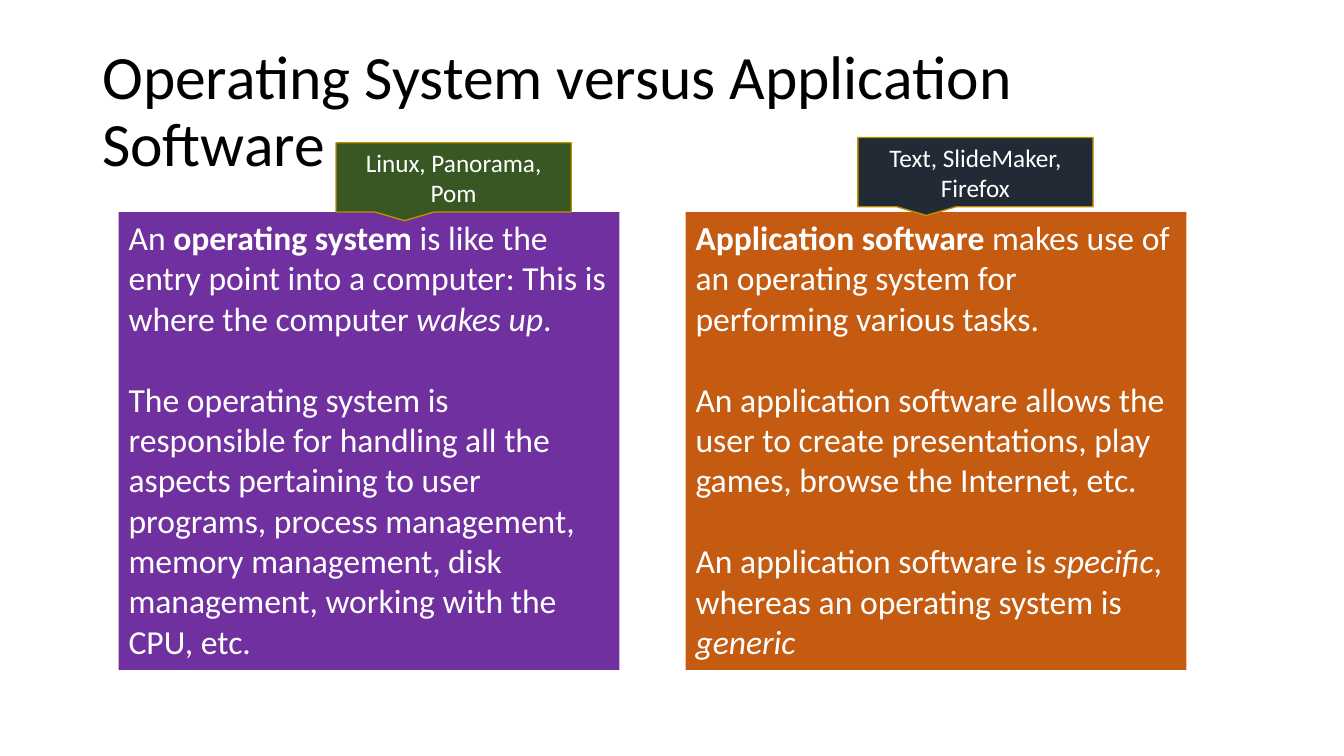
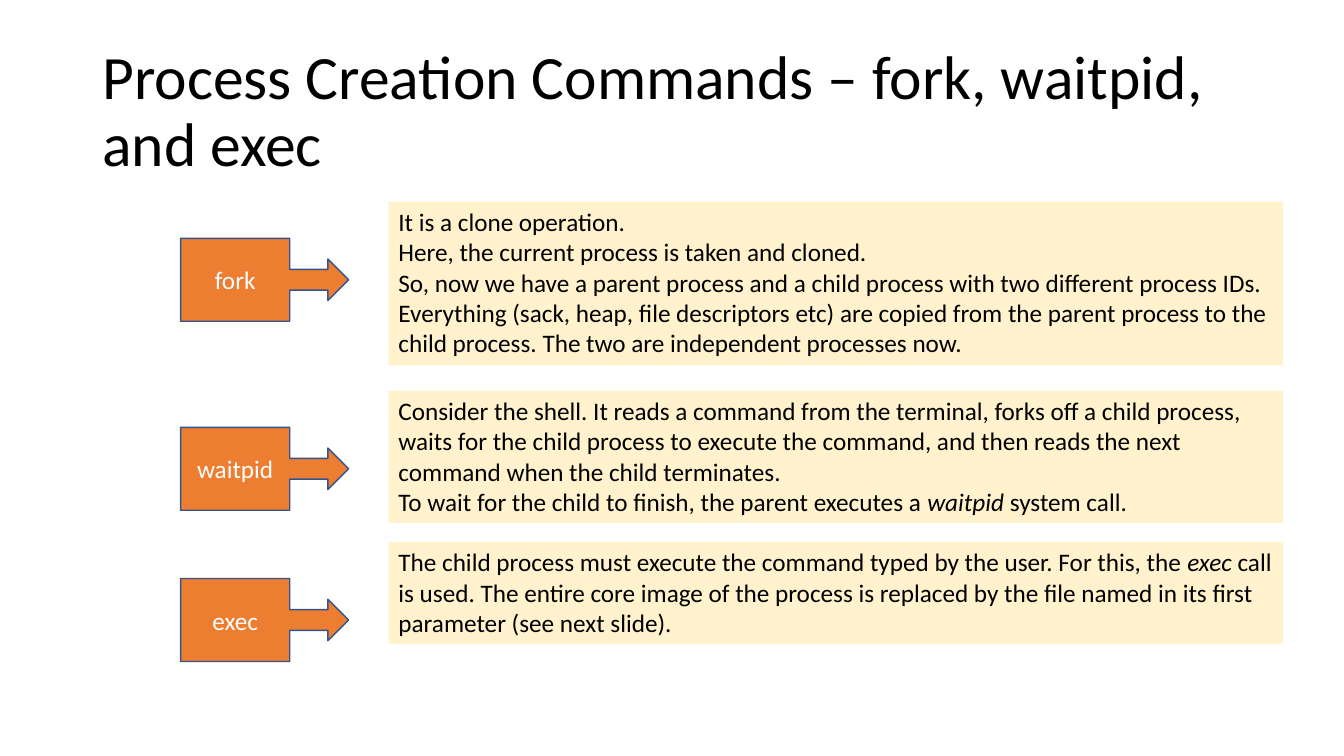
from dataclasses import dataclass

from pptx import Presentation, util as u
from pptx.dml.color import RGBColor
from pptx.enum import shapes, text

PX = 9525  # EMU
FONT = "Calibri"

BLACK = RGBColor(0x00, 0x00, 0x00)
WHITE = RGBColor(0xFF, 0xFF, 0xFF)
PURPLE = RGBColor(0x70, 0x30, 0xA0)
RUST = RGBColor(0xC5, 0x5A, 0x11)
GREEN = RGBColor(0x38, 0x57, 0x23)
NAVY = RGBColor(0x22, 0x2A, 0x35)
GOLD = RGBColor(0xBD, 0x8E, 0x00)
ORANGE = RGBColor(0xED, 0x7D, 0x31)
BLUE = RGBColor(0x32, 0x54, 0x91)
CREAM = RGBColor(0xFF, 0xF2, 0xCC)


@dataclass(frozen=True)
class Box:
    left: int
    top: int
    width: int
    height: int

    def emu(self) -> tuple[int, int, int, int]:
        return self.left * PX, self.top * PX, self.width * PX, self.height * PX


@dataclass(frozen=True)
class Span:
    text: str
    bold: bool = False
    italic: bool = False


Paragraphs = list[list[Span]]


@dataclass(frozen=True)
class Comparison:
    left: int
    fill: RGBColor
    body: Paragraphs
    examples: str
    examples_at: Box
    examples_fill: RGBColor


@dataclass(frozen=True)
class Command:
    name: str
    top: int
    height: int
    body: Paragraphs


TITLE_AT = Box(88, 38, 1104, 139)

COMPARISONS = [
    Comparison(
        113, PURPLE,
        [[Span("An "), Span("operating system", bold=True),
          Span(" is like the entry point into a computer: This is where the computer "),
          Span("wakes up", italic=True), Span(".")],
         [Span("The operating system is responsible for handling all the aspects "
               "pertaining to user programs, process management, memory management, "
               "disk management, working with the CPU, etc.")]],
        "Linux, Panorama, Pom", Box(320, 136, 224, 66), GREEN),
    Comparison(
        653, RUST,
        [[Span("Application software", bold=True),
          Span(" makes use of an operating system for performing various tasks.")],
         [Span("An application software allows the user to create presentations, "
               "play games, browse the Internet, etc.")],
         [Span("An application software is "), Span("specific", italic=True),
          Span(", whereas an operating system is "), Span("generic", italic=True)]],
        "Text, SlideMaker, Firefox", Box(817, 131, 224, 66), NAVY),
]

COMMANDS = [
    Command("fork", 192, 156, [
        [Span("It is a clone operation.")],
        [Span("Here, the current process is taken and cloned.")],
        [Span("So, now we have a parent process and a child process with two "
              "different process IDs.")],
        [Span("Everything (sack, heap, file descriptors etc) are copied from the "
              "parent process to the child process. The two are independent "
              "processes now.")]]),
    Command("waitpid", 372, 126, [
        [Span("Consider the shell. It reads a command from the terminal, forks off "
              "a child process, waits for the child process to execute the command, "
              "and then reads the next command when the child terminates.")],
        [Span("To wait for the child to finish, the parent executes a "),
         Span("waitpid", italic=True), Span(" system call.")]]),
    Command("exec", 516, 97, [
        [Span("The child process must execute the command typed by the user. "
              "For this, the "), Span("exec", italic=True),
         Span(" call is used. The entire core image of the process is replaced by "
              "the file named in its first parameter (see next slide).")]]),
]


def style_paragraph(paragraph, size: int, color: RGBColor) -> None:
    paragraph.font.name = FONT
    paragraph.font.size = u.Pt(size)
    paragraph.font.color.rgb = color


def add_titled_slide(deck, title: str):
    slide = deck.slides.add_slide(deck.slide_layouts[6])
    frame = slide.shapes.add_textbox(*TITLE_AT.emu()).text_frame
    frame.word_wrap = True
    frame.vertical_anchor = text.MSO_ANCHOR.MIDDLE
    heading = frame.paragraphs[0]
    heading.text = title
    heading.line_spacing = 0.9
    style_paragraph(heading, 44, BLACK)
    return slide


def add_panel(slide, box: Box, fill: RGBColor, body: Paragraphs,
              size: int, color: RGBColor, gap: int = 0) -> None:
    """Add a filled text box whose paragraphs are gap points apart."""
    panel = slide.shapes.add_textbox(*box.emu())
    panel.fill.solid()
    panel.fill.fore_color.rgb = fill
    frame = panel.text_frame
    frame.word_wrap = True
    frame.auto_size = text.MSO_AUTO_SIZE.SHAPE_TO_FIT_TEXT
    for index, spans in enumerate(body):
        paragraph = frame.add_paragraph() if index else frame.paragraphs[0]
        if index and gap:
            paragraph.space_before = u.Pt(gap)
        style_paragraph(paragraph, size, color)
        for span in spans:
            run = paragraph.add_run()
            run.text = span.text
            if span.bold:
                run.font.bold = True
            if span.italic:
                run.font.italic = True


def add_callout(slide, kind: shapes.MSO_SHAPE, box: Box, label: str,
                fill: RGBColor, line: RGBColor) -> None:
    callout = slide.shapes.add_shape(kind, *box.emu())
    callout.shadow.inherit = False
    callout.fill.solid()
    callout.fill.fore_color.rgb = fill
    callout.line.color.rgb = line
    callout.line.width = u.Pt(1)
    frame = callout.text_frame
    frame.word_wrap = True
    frame.vertical_anchor = text.MSO_ANCHOR.MIDDLE
    caption = frame.paragraphs[0]
    caption.text = label
    caption.alignment = text.PP_ALIGN.CENTER
    style_paragraph(caption, 18, WHITE)


def build_comparison(deck) -> None:
    slide = add_titled_slide(deck, "Operating System versus Application Software")
    for side in COMPARISONS:
        add_panel(slide, Box(side.left, 202, 477, 436), side.fill, side.body,
                  24, WHITE, gap=29)
    for side in COMPARISONS:
        add_callout(slide, shapes.MSO_SHAPE.RECTANGULAR_CALLOUT, side.examples_at,
                    side.examples, side.examples_fill, GOLD)


def build_commands(deck) -> None:
    slide = add_titled_slide(deck, "Process Creation Commands – fork, waitpid, and exec")
    for command in COMMANDS:
        add_callout(slide, shapes.MSO_SHAPE.RIGHT_ARROW_CALLOUT,
                    Box(172, command.top + 35, 160, 79), command.name, ORANGE, BLUE)
        add_panel(slide, Box(370, command.top, 852, command.height), CREAM,
                  command.body, 18, BLACK)


def main() -> None:
    deck = Presentation()
    deck.slide_width = 1280 * PX
    deck.slide_height = 720 * PX
    build_comparison(deck)
    build_commands(deck)
    deck.save("out.pptx")


if __name__ == "__main__":
    main()
